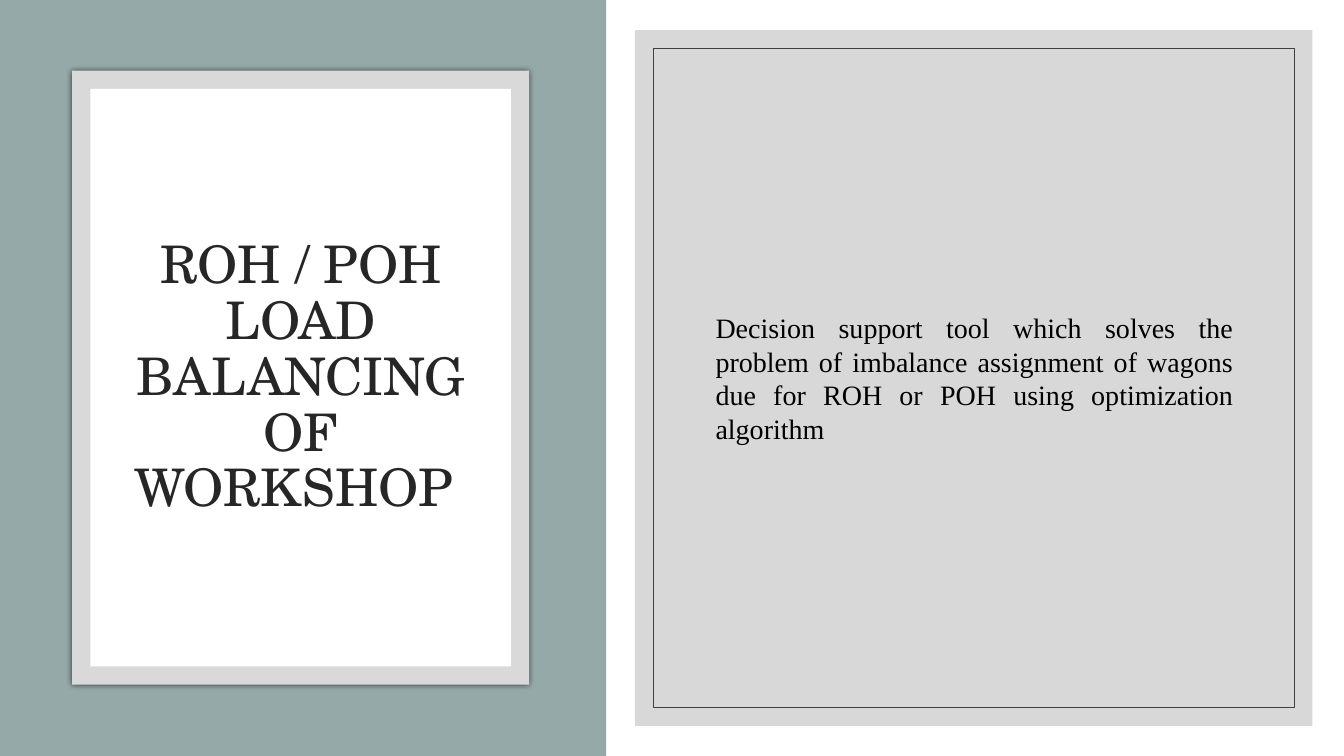
from lxml.etree import SubElement
from pptx import Presentation
from pptx.dml.color import RGBColor
from pptx.enum.shapes import MSO_SHAPE as Preset
from pptx.enum.text import MSO_ANCHOR as Anchor, PP_ALIGN as Align
from pptx.oxml.ns import qn
from pptx.util import Pt


def color(hex_string):
    return RGBColor.from_string(hex_string)


def add_panel(slide, left, top, width, height, fill=None, line=None):
    """Rectangle with an optional fill and an optional thin outline."""
    shape = slide.shapes.add_shape(
        Preset.RECTANGLE, Pt(left), Pt(top), Pt(width), Pt(height))
    shape.shadow.inherit = False
    if fill:
        shape.fill.solid()
        shape.fill.fore_color.rgb = color(fill)
    else:
        shape.fill.background()
    if line:
        shape.line.color.rgb = color(line)
        shape.line.width = Pt(0.5)
    else:
        shape.line.fill.background()
    return shape


def add_alpha(color_element, percent):
    SubElement(color_element, qn("a:alpha"), val=str(percent * 1000))


def set_opacity(shape, percent):
    fill_color = shape.element.spPr.find(qn("a:solidFill")).find(qn("a:srgbClr"))
    add_alpha(fill_color, percent)


def add_glow_shadow(shape, blur, percent):
    """Soft black shadow, spread evenly on all sides."""
    effects = shape.element.spPr.find(qn("a:effectLst"))
    shadow = SubElement(effects, qn("a:outerShdw"), blurRad=str(Pt(blur)),
                        dist="0", dir="0", algn="ctr", rotWithShape="0")
    add_alpha(SubElement(shadow, qn("a:srgbClr"), val="000000"), percent)


def add_text(slide, text, left, top, width, height, *, font, size, ink,
             align, line_spacing=None, space_after=None):
    box = slide.shapes.add_textbox(Pt(left), Pt(top), Pt(width), Pt(height))
    frame = box.text_frame
    frame.word_wrap = True
    frame.vertical_anchor = Anchor.MIDDLE
    paragraph = frame.paragraphs[0]
    paragraph.text = text
    paragraph.alignment = align
    if line_spacing is not None:
        paragraph.line_spacing = line_spacing
    if space_after is not None:
        paragraph.space_after = Pt(space_after)
    paragraph.font.name = font
    paragraph.font.size = Pt(size)
    paragraph.font.color.rgb = color(ink)


def main():
    presentation = Presentation()
    presentation.slide_width, presentation.slide_height = Pt(960), Pt(540)
    slide = presentation.slides.add_slide(presentation.slide_layouts[6])

    # Title side: coloured band, grey frame and white card
    add_panel(slide, 0, 0, 433, 540, fill="96A9A9")
    frame = add_panel(slide, 51.5, 50.5, 326.5, 438.5, fill="D9D9D9")
    add_glow_shadow(frame, blur=4, percent=66)
    add_panel(slide, 64.5, 63.5, 300.5, 412.5, fill="FFFFFF")
    add_text(slide, "ROH / POH LOAD BALANCING OF WORKSHOP ",
             77.5, 93.5, 275, 353.5, font="TeX Gyre Schola", size=37,
             ink="262626", align=Align.CENTER, line_spacing=0.9)

    # Description side: translucent panel with an inner outline
    panel = add_panel(slide, 453.5, 21.5, 484, 497, fill="BFBFBF")
    set_opacity(panel, 60)
    add_panel(slide, 466.5, 34.5, 458, 471, line="404040")
    add_text(slide, "Decision support tool which solves the problem of imbalance "
             "assignment of wagons due for ROH or POH using optimization algorithm",
             504, 73.5, 384, 392.5, font="Times New Roman", size=20,
             ink="000000", align=Align.JUSTIFY, space_after=6)

    presentation.save("out.pptx")


if __name__ == "__main__":
    main()
